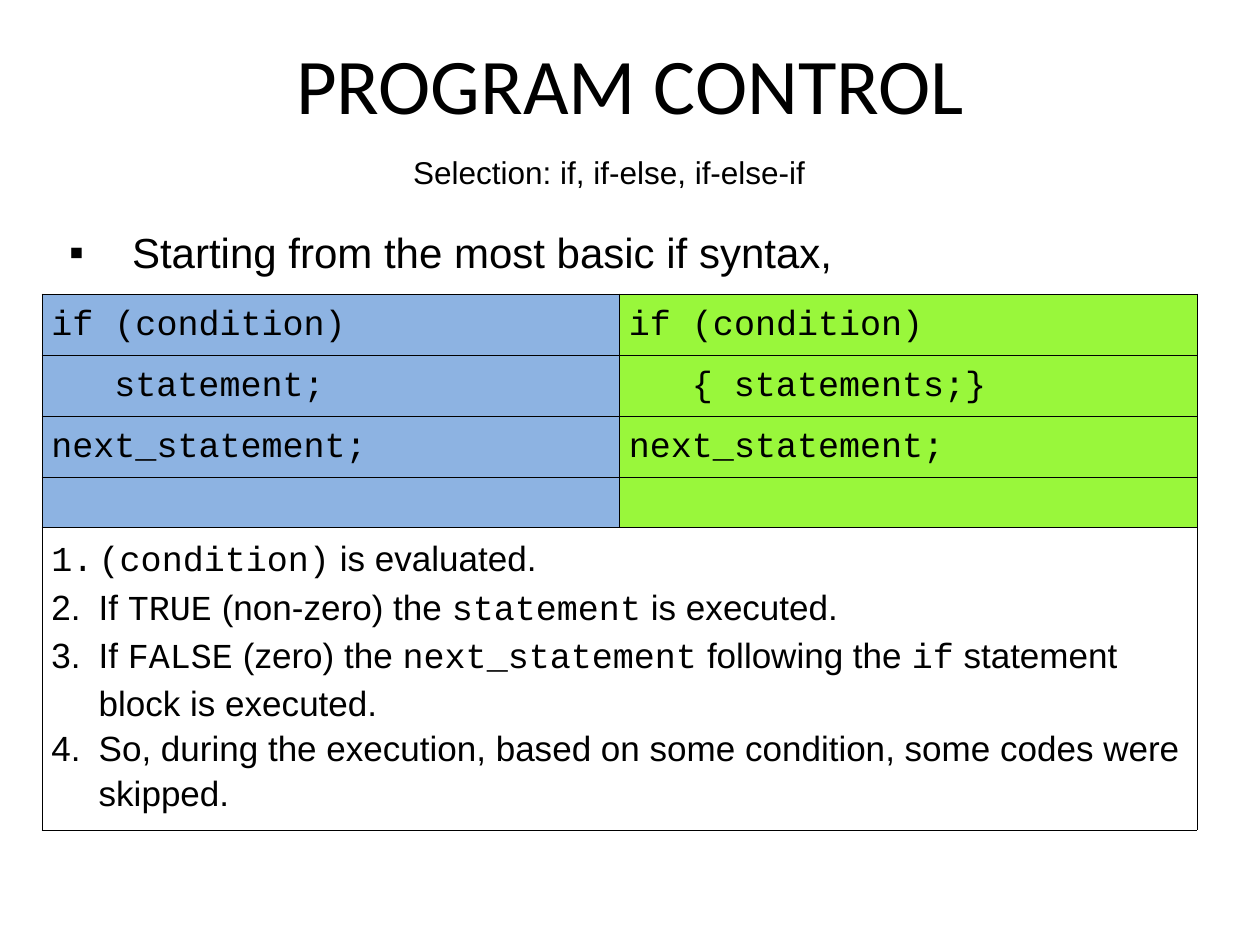
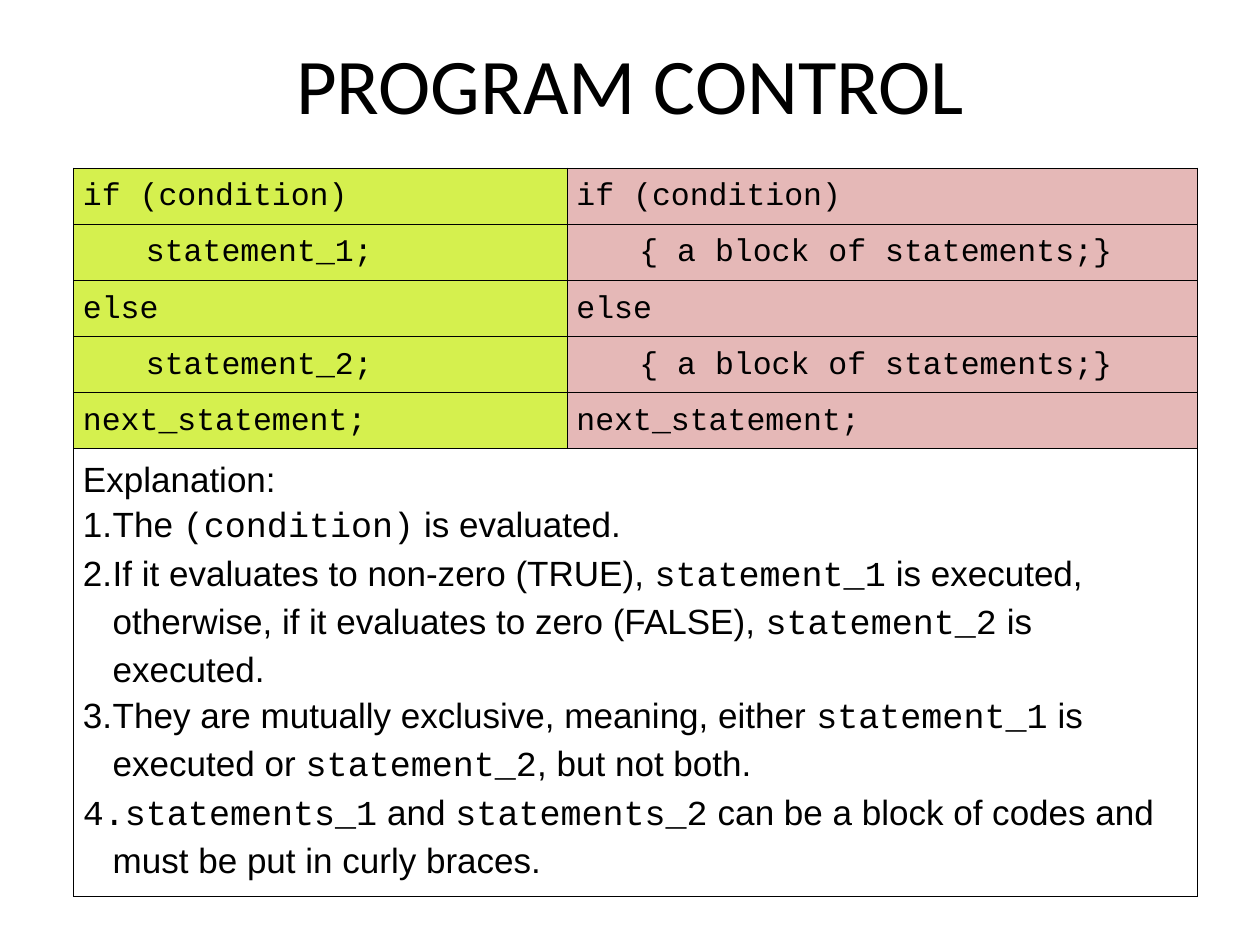
from lxml import etree
from pptx import Presentation
from pptx.dml.color import RGBColor
from pptx.enum.text import MSO_ANCHOR, PP_ALIGN
from pptx.oxml.ns import qn
from pptx.util import Pt

CENTER = PP_ALIGN.CENTER
BOTTOM = MSO_ANCHOR.BOTTOM
SANS, MONO = "Arial", "Courier New"
BLACK, WHITE = "000000", "FFFFFF"
rgb = RGBColor.from_string


def write(para, text, size, font=SANS, bullet=None, indent=0, hang=0):
    """Fill a paragraph; text between backticks is set in the code font."""
    props = para._p.get_or_add_pPr()
    props.set("marL", str(Pt(indent)))
    props.set("indent", str(-Pt(hang)))
    if bullet:
        color = etree.SubElement(props, qn("a:buClr"))
        etree.SubElement(color, qn("a:srgbClr"), val=BLACK)
        if bullet == "1.":
            etree.SubElement(props, qn("a:buAutoNum"), type="arabicPeriod")
        else:
            etree.SubElement(props, qn("a:buFont"), typeface=SANS)
            etree.SubElement(props, qn("a:buChar"), char=bullet)
    para.font.size = Pt(size)
    para.font.color.rgb = rgb(BLACK)
    parts = text.split("`")
    if len(parts) == 1:
        para.font.name = font
    for i, part in enumerate(parts):
        if part:
            run = para.add_run()
            run.text = part
            if len(parts) > 1:
                run.font.name = MONO if i % 2 else font


def style(cell, fill=None):
    """Set margins, thin black borders and fill of a table cell."""
    cell.margin_left = cell.margin_right = Pt(5.4)
    cell.margin_top = cell.margin_bottom = Pt(3.6)
    props = cell._tc.get_or_add_tcPr()
    for side in "LRTB":
        line = etree.SubElement(props, qn("a:ln" + side), w=str(Pt(0.45)))
        solid = etree.SubElement(line, qn("a:solidFill"))
        etree.SubElement(solid, qn("a:srgbClr"), val=BLACK)
    if fill:
        cell.fill.solid()
        cell.fill.fore_color.rgb = rgb(fill)
    else:
        cell.fill.background()


pages = [
    {
        "left": 24, "top": 168, "cols": [330, 330], "size": 20,
        "fills": ["8DB3E2", "99F73B"],
        "rows": [34.8, 34.8, 34.8, 28.6, 173],
        "code": [
            ("if (condition)", "if (condition)"),
            ("\tstatement;", "\t{ statements;}"),
            ("next_statement;", "next_statement;"),
            ("", ""),
        ],
        "head": None, "hang": 27,
        "steps": [
            "`(condition)` is evaluated.",
            "If `TRUE` (non-zero) the `statement` is executed.",
            "If `FALSE` (zero) the `next_statement` following the `if` "
            "statement block is executed.",
            "So, during the execution, based on some condition, "
            "some codes were skipped.",
        ],
    },
    {
        "left": 42, "top": 96, "cols": [282, 360], "size": 18,
        "fills": ["D5F04E", "E5B8B7"],
        "rows": [32] * 5 + [256],
        "code": [
            ("if (condition)", "if (condition)"),
            ("\tstatement_1;", "\t{ a block of statements;}"),
            ("else", "else"),
            ("\tstatement_2;", "\t{ a block of statements;}"),
            ("next_statement;", "next_statement;"),
        ],
        "head": "Explanation:", "hang": 17,
        "steps": [
            "The `(condition)` is evaluated.",
            "If it evaluates to non-zero (TRUE), `statement_1` is executed, "
            "otherwise, if it evaluates to zero (FALSE), `statement_2` "
            "is executed.",
            "They are mutually exclusive, meaning, either `statement_1` is "
            "executed or `statement_2`, but not both.",
            "`statements_1` and `statements_2` can be a block of codes and "
            "must be put in curly braces.",
        ],
    },
]

deck = Presentation()
deck.slide_width, deck.slide_height = Pt(720), Pt(540)

for page in pages:
    slide = deck.slides.add_slide(deck.slide_layouts[6])

    title = slide.shapes.add_textbox(Pt(54), Pt(18), Pt(612), Pt(60.5))
    title.fill.solid()
    title.fill.fore_color.rgb = rgb(WHITE)
    frame = title.text_frame
    frame.word_wrap = True
    frame.vertical_anchor = BOTTOM
    para = frame.paragraphs[0]
    para.alignment = CENTER
    para.line_spacing = 0.9
    write(para, "PROGRAM CONTROL", 45, "Calibri")

    rows, cols = page["rows"], page["cols"]
    table = slide.shapes.add_table(
        len(rows), 2, Pt(page["left"]), Pt(page["top"]),
        Pt(sum(cols)), Pt(sum(rows))).table
    table.first_row = table.horz_banding = False
    for col, width in zip(table.columns, cols):
        col.width = Pt(width)
    for row, height in zip(table.rows, rows):
        row.height = Pt(height)

    for r, line in enumerate(page["code"]):
        for c, text in enumerate(line):
            cell = table.cell(r, c)
            style(cell, page["fills"][c])
            if text:
                para = cell.text_frame.paragraphs[0]
                para.line_spacing = 1.15
                indent = 36 if text.startswith("\t") else 0
                write(para, text.strip(), page["size"], MONO, indent=indent)

    last = len(rows) - 1
    note = table.cell(last, 0)
    note.merge(table.cell(last, 1))
    for c in range(2):
        style(table.cell(last, c))
    frame = note.text_frame
    para = frame.paragraphs[0]
    if page["head"]:
        para.line_spacing = 1.15
        write(para, page["head"], 20)
        para = frame.add_paragraph()
    for i, step in enumerate(page["steps"]):
        if i:
            para = frame.add_paragraph()
        para.line_spacing = 1.15
        write(para, step, 20, bullet="1.",
              indent=page["hang"], hang=page["hang"])

first = deck.slides[0]
labels = [
    ((229, 84, 260, 29), "Selection: if, if-else, if-else-if", 18, None, 0),
    ((32.4, 126, 451, 36), "Starting from the most basic if syntax,", 24,
     "▪", 36),
]
for area, text, size, bullet, hang in labels:
    box = first.shapes.add_textbox(*map(Pt, area))
    box.text_frame.word_wrap = True
    write(box.text_frame.paragraphs[0], text, size,
          bullet=bullet, indent=hang, hang=hang)

deck.save("out.pptx")
